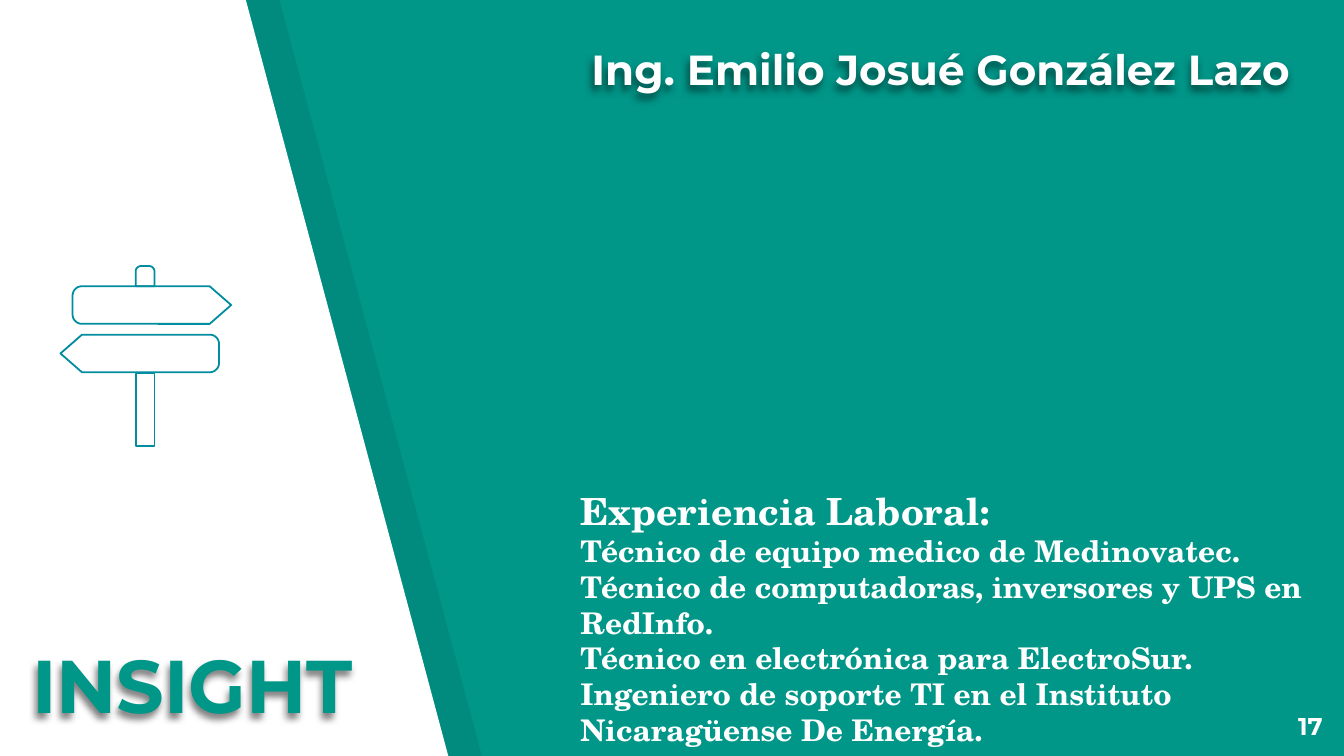
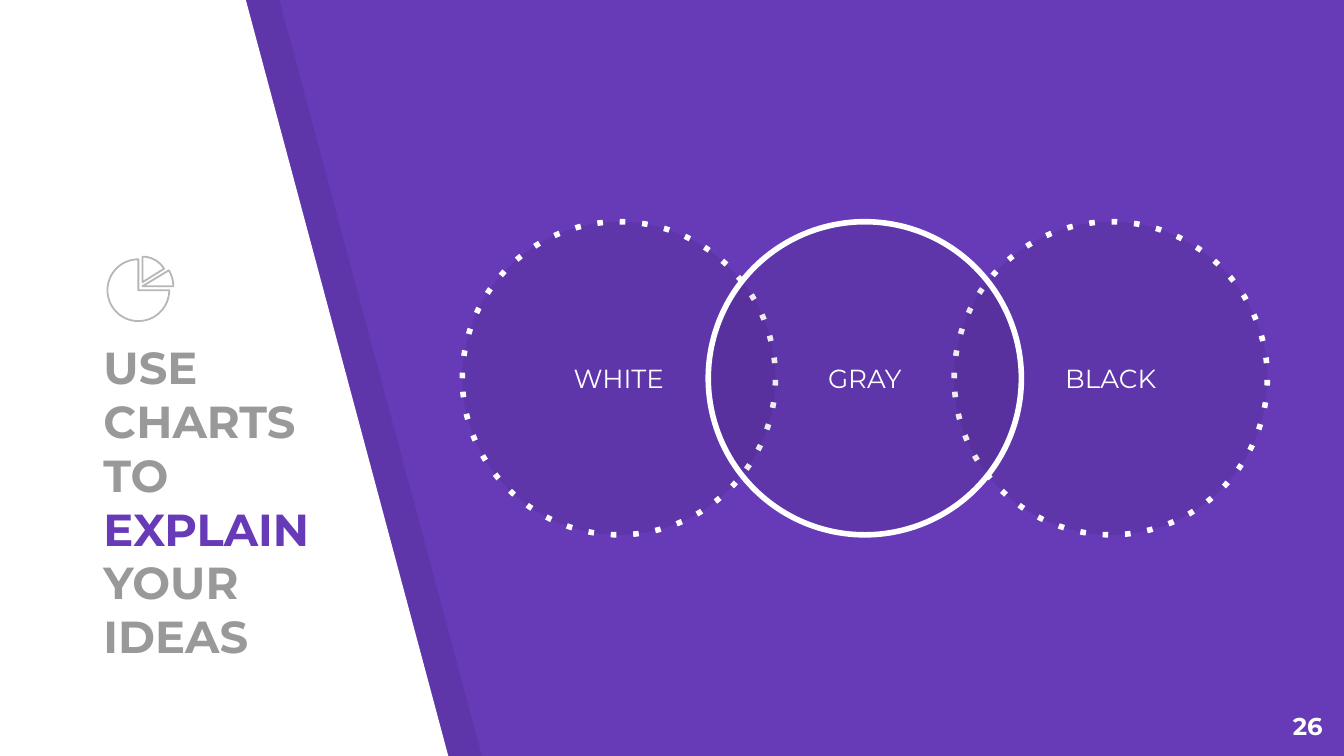
import math
from lxml import etree
from pptx import Presentation
from pptx import util as u
from pptx.dml.color import RGBColor
from pptx.enum import dml, shapes, text
from pptx.oxml.ns import qn

COLORS = {
    "teal": "009688", "purple": "673AB7", "white": "FFFFFF", "black": "000000",
    "gray": "999999", "icon_gray": "B7B7B7", "icon_blue": "008D9F",
}
SANS = "Montserrat"
SERIF = "TeX Gyre Schola"
LEFT, CENTER, RIGHT = text.PP_ALIGN.LEFT, text.PP_ALIGN.CENTER, text.PP_ALIGN.RIGHT

PROFILE = {
    "background": "teal",
    "number": "17",
    "title": [("Ing. Emilio Josué González Lazo", "white")],
    "title_area": (4.3, 0.27, 5.64, 0.53),
    "title_size": 22.5,
}
JOBS_HEADING = "Experiencia Laboral:"
JOBS = [
    "Técnico de equipo medico de Medinovatec.",
    "Técnico de computadoras, inversores y UPS en RedInfo.",
    "Técnico en electrónica para ElectroSur.",
    "Ingeniero de soporte TI en el Instituto Nicaragüense De Energía.",
]
VENN = {
    "background": "purple",
    "number": "26",
    "title": [("USE CHARTS TO ", "gray"), ("EXPLAIN", "purple"), (" YOUR IDEAS", "gray")],
    "title_area": (0.67, 4.5, 1.76, 0.53),
    "title_size": 24,
}
CIRCLES = [("WHITE", 0, True), ("BLACK", 2, True), ("GRAY", 1, False)]
CIRCLE_LEFT, CIRCLE_TOP, CIRCLE_SIZE, CIRCLE_STEP = 3.44, 1.65, 2.33, 1.83
BAND = [(-0.02, -0.01), (-0.02, 5.64), (3.34, 5.64), (1.83, 0)]
BAND_SHIFT = 0.25


def rgb(name):
    return RGBColor.from_string(COLORS[name])


def inches(values):
    return [u.Inches(value) for value in values]


def arc(x, y, radius, start, end, steps=16):
    angles = [math.radians(start + (end - start) * i / steps) for i in range(steps + 1)]
    return [(x + radius * math.cos(a), y + radius * math.sin(a)) for a in angles]


def outline(parent, points):
    points = [inches(point) for point in points]
    builder = parent.build_freeform(*points[0])
    builder.add_line_segments(points[1:], close=True)
    shape = builder.convert_to_shape()
    shape.shadow.inherit = False
    return shape


def paint(shape, color, alpha=None):
    shape.fill.solid()
    shape.fill.fore_color.rgb = rgb(color)
    if alpha:
        fill = shape.element.spPr.find(qn("a:solidFill"))
        etree.SubElement(fill[0], qn("a:alpha"), val=str(alpha * 1000))


def draw_icon(page, pieces, color):
    group = page.shapes.add_group_shape()
    for points in pieces:
        piece = outline(group.shapes, points)
        piece.fill.background()
        piece.line.color.rgb = rgb(color)
        piece.line.width = u.Pt(0.96)


def set_frame(shape, anchor, inset=0.1):
    frame = shape.text_frame
    frame.word_wrap = True
    frame.auto_size = text.MSO_AUTO_SIZE.NONE
    frame.vertical_anchor = anchor
    frame.margin_left = frame.margin_right = u.Inches(0.1)
    frame.margin_top = frame.margin_bottom = u.Inches(inset)
    return frame


def write(para, spans, size, font=SANS, bold=True, align=LEFT):
    para.alignment = align
    para.font.size = u.Pt(size)
    para.font.name = font
    para.font.bold = bold
    for words, color in spans:
        span = para.add_run()
        span.text = words
        if len(spans) > 1:
            span.font.color.rgb = rgb(color)
        else:
            para.font.color.rgb = rgb(color)


def add_text(page, area, words, color, size, anchor, align=LEFT):
    box = page.shapes.add_textbox(*inches(area))
    frame = set_frame(box, anchor)
    write(frame.paragraphs[0], [(words, color)], size, align=align)
    return box


def cast_shadow(shape):
    effects = etree.SubElement(shape.element.spPr, qn("a:effectLst"))
    shadow = etree.SubElement(effects, qn("a:outerShdw"), blurRad="50800",
                              dist="38100", dir="7200000", algn="tr", rotWithShape="0")
    tint = etree.SubElement(shadow, qn("a:srgbClr"), val=COLORS["black"])
    etree.SubElement(tint, qn("a:alpha"), val="50000")


def add_bands(page, layout):
    for holder in list(layout.placeholders):
        if holder.placeholder_format.idx >= 10:
            holder.element.getparent().remove(holder.element)
    tree = layout.shapes.element
    for index, (shift, color, alpha) in enumerate([(BAND_SHIFT, "black", 7), (0, "white", None)]):
        band = outline(page.shapes, [(x + shift, y) for x, y in BAND])
        paint(band, color, alpha)
        band.line.fill.background()
        tree.insert(2 + index, band.element)


def add_page(deck, content):
    page = deck.slides.add_slide(deck.slide_layouts[5])
    page.background.fill.solid()
    page.background.fill.fore_color.rgb = rgb(content["background"])
    title = page.shapes.title
    title.left, title.top, title.width, title.height = inches(content["title_area"])
    frame = set_frame(title, text.MSO_ANCHOR.BOTTOM)
    write(frame.paragraphs[0], content["title"], content["title_size"])
    add_text(page, (9.34, 5.19, 0.6, 0.43), content["number"], "white", 13,
             text.MSO_ANCHOR.TOP, RIGHT)
    return page


def fill_profile(page):
    cast_shadow(page.shapes.title)
    right_plate = (arc(0.61, 2.2, 0.07, 270, 180) + arc(0.61, 2.34, 0.07, 180, 90)
                   + [(1.56, 2.41), (1.72, 2.27), (1.56, 2.13)])
    left_plate = [(2.17 - x, y + 0.36) for x, y in right_plate]
    cap = ([(1.01, 2.13)] + arc(1.05, 2.02, 0.04, 180, 270)
           + arc(1.11, 2.02, 0.04, 270, 360) + [(1.15, 2.13)])
    post = [(1.01, 2.78), (1.01, 3.32), (1.15, 3.32), (1.15, 2.78)]
    draw_icon(page, [right_plate, left_plate, cap, post], "icon_blue")
    cast_shadow(add_text(page, (0.14, 3.67, 3.17, 1.85), "INSIGHT", "teal", 40,
                         text.MSO_ANCHOR.BOTTOM))
    box = page.shapes.add_textbox(*inches((4.22, 3.58, 5.64, 1.78)))
    frame = set_frame(box, text.MSO_ANCHOR.TOP, 0.05)
    frame.auto_size = text.MSO_AUTO_SIZE.SHAPE_TO_FIT_TEXT
    write(frame.paragraphs[0], [(JOBS_HEADING, "white")], 20, SERIF)
    for job in JOBS:
        write(frame.add_paragraph(), [(job, "white")], 16, SERIF)


def fill_venn(page):
    for label, slot, dotted in CIRCLES:
        area = (CIRCLE_LEFT + slot * CIRCLE_STEP, CIRCLE_TOP, CIRCLE_SIZE, CIRCLE_SIZE)
        circle = page.shapes.add_shape(shapes.MSO_SHAPE.OVAL, *inches(area))
        circle.shadow.inherit = False
        paint(circle, "black", 7)
        circle.line.color.rgb = rgb("white")
        circle.line.width = u.Pt(3)
        if dotted:
            circle.line.dash_style = dml.MSO_LINE.ROUND_DOT
            next(circle.element.iter(qn("a:prstDash"))).set("val", "dot")
        frame = set_frame(circle, text.MSO_ANCHOR.MIDDLE)
        write(frame.paragraphs[0], [(label, "white")], 14, bold=False, align=CENTER)
    pie = arc(1.03, 2.16, 0.23, 270, 0, 48) + [(1.03, 2.16)]
    upper_slice = arc(1.06, 2.1, 0.19, 270, 328) + [(1.06, 2.1)]
    lower_slice = arc(1.06, 2.13, 0.23, 329, 360) + [(1.06, 2.13)]
    draw_icon(page, [pie, upper_slice, lower_slice], "icon_gray")


def main():
    deck = Presentation()
    deck.slide_width = u.Inches(10)
    deck.slide_height = deck.slide_width * 9 // 16
    profile = add_page(deck, PROFILE)
    add_bands(profile, profile.slide_layout)
    fill_profile(profile)
    fill_venn(add_page(deck, VENN))
    deck.save("out.pptx")


if __name__ == "__main__":
    main()
